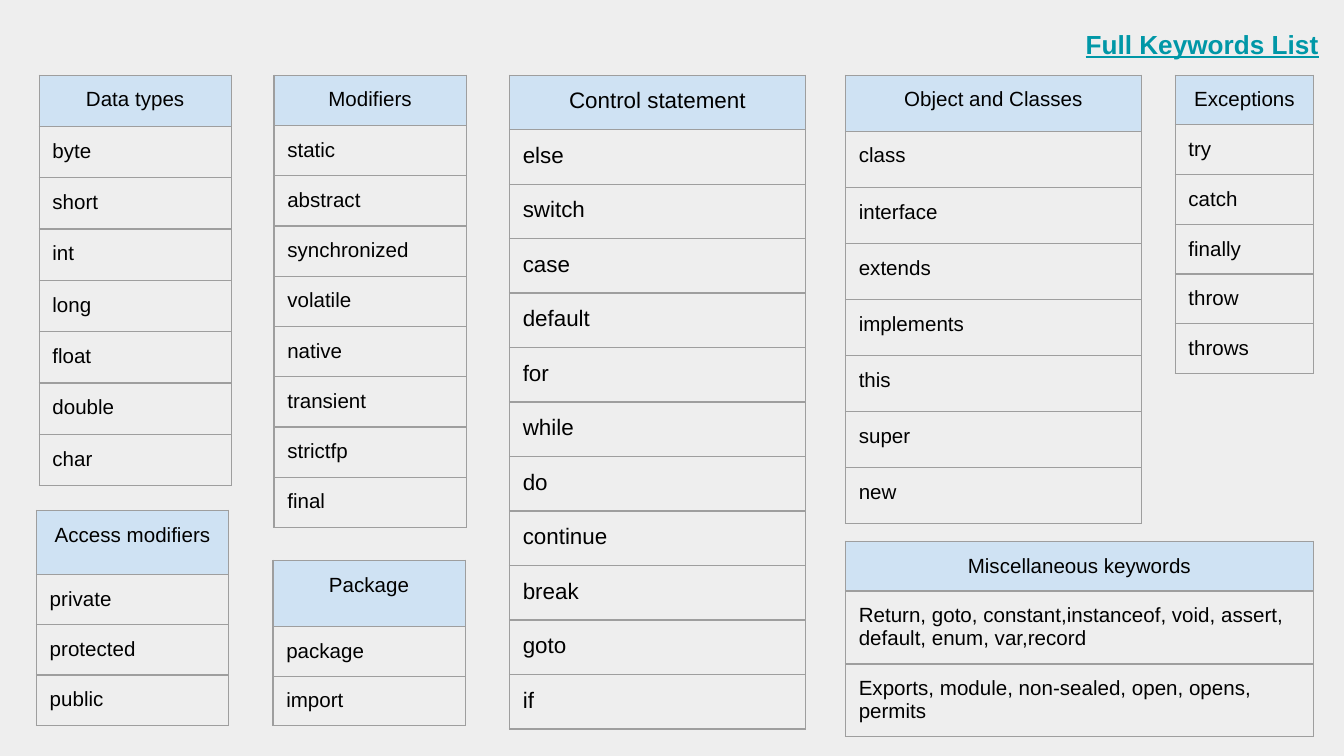
"""Build a slide of keyword tables grouped by purpose."""
from lxml.etree import SubElement
from pptx import Presentation
from pptx.dml.color import RGBColor as Rgb
from pptx.enum.text import MSO_AUTO_SIZE as AutoSize, PP_ALIGN as Align
from pptx.oxml.ns import qn
from pptx.util import Cm, Pt

COLORS = {"background": "EEEEEE", "header": "CFE2F3", "border": "9E9E9E",
          "text": "000000", "title": "0097A7"}
TITLE = "Full Keywords List"
GROUPS = [
    {"header": "Data types", "at": (0.74, 1.42), "width": 3.63, "rows": (0.97, 0.97),
     "keywords": ["byte", "short", "int", "long", "float", "double", "char"]},
    {"header": "Access modifiers", "at": (0.69, 9.65), "width": 3.63, "rows": (1.21, 0.95),
     "keywords": ["private", "protected", "public"]},
    {"header": "Control statement", "at": (9.63, 1.42), "width": 5.59, "rows": (1.03, 1.03),
     "size": 12,
     "keywords": ["else", "switch", "case", "default", "for", "while", "do",
                  "continue", "break", "goto", "if"]},
    {"header": "Object and Classes", "at": (15.98, 1.42), "width": 5.59, "rows": (1.06, 1.06),
     "keywords": ["class", "interface", "extends", "implements", "this", "super", "new"]},
    {"header": "Modifiers", "at": (5.18, 1.42), "width": 3.63, "rows": (0.95, 0.95),
     "keywords": ["static", "abstract", "synchronized", "volatile", "native",
                  "transient", "strictfp", "final"]},
    {"header": "Exceptions", "at": (22.21, 1.42), "width": 2.62, "rows": (0.94, 0.94),
     "keywords": ["try", "catch", "finally", "throw", "throws"]},
    {"header": "Package", "at": (5.16, 10.59), "width": 3.63, "rows": (1.25, 0.94),
     "keywords": ["package", "import"]},
    {"header": "Miscellaneous keywords", "at": (15.98, 10.23), "width": 8.84,
     "rows": (0.94, 1.38),
     "keywords": ["Return, goto, constant,instanceof, void, assert, default, enum, var,record",
                  "Exports, module, non-sealed, open, opens, permits"]},
]
INSET = Cm(0.25)
CELL_FORMAT = {f"margin_{side}": INSET for side in ("left", "right", "top", "bottom")}
TITLE_FORMAT = {**CELL_FORMAT, "word_wrap": True, "auto_size": AutoSize.SHAPE_TO_FIT_TEXT}
TABLE_FORMAT = {"first_row": False, "horz_banding": False}


def apply_format(target, values):
    for name, value in values.items():
        setattr(target, name, value)


def write(frame, words, size, align, color="text", **emphasis):
    paragraph = frame.paragraphs[0]
    paragraph.alignment = align
    run = paragraph.add_run()
    run.text = words
    apply_format(run.font, {"name": "Arial", "size": Pt(size), **emphasis})
    run.font.color.rgb = Rgb.from_string(COLORS[color])


def add_borders(cell):
    properties = cell._tc.get_or_add_tcPr()
    for edge in ("lnL", "lnR", "lnT", "lnB"):
        line = SubElement(properties, qn(f"a:{edge}"), w=str(Pt(0.75)))
        fill = SubElement(line, qn("a:solidFill"))
        SubElement(fill, qn("a:srgbClr"), val=COLORS["border"])


def add_group(slide, group):
    entries = [group["header"], *group["keywords"]]
    header_height, row_height = group["rows"]
    heights = [header_height] + [row_height] * len(group["keywords"])
    left, top = group["at"]
    table = slide.shapes.add_table(len(entries), 1, Cm(left), Cm(top),
                                   Cm(group["width"]), Cm(sum(heights))).table
    apply_format(table, TABLE_FORMAT)
    for index, (entry, height) in enumerate(zip(entries, heights)):
        table.rows[index].height = Cm(height)
        cell = table.cell(index, 0)
        apply_format(cell, CELL_FORMAT)
        add_borders(cell)
        if index == 0:
            cell.fill.solid()
            cell.fill.fore_color.rgb = Rgb.from_string(COLORS["header"])
        else:
            cell.fill.background()
        write(cell.text_frame, entry, group.get("size", 11),
              Align.LEFT if index else Align.CENTER)


def main():
    deck = Presentation()
    apply_format(deck, {"slide_width": Cm(25.4), "slide_height": Cm(14.29)})
    slide = deck.slides.add_slide(deck.slide_layouts[6])
    slide.background.fill.solid()
    slide.background.fill.fore_color.rgb = Rgb.from_string(COLORS["background"])
    for group in GROUPS:
        add_group(slide, group)
    title = slide.shapes.add_textbox(Cm(16.89), Cm(0.28), Cm(8.28), Cm(1.12)).text_frame
    apply_format(title, TITLE_FORMAT)
    write(title, TITLE, 14, Align.RIGHT, "title", bold=True, underline=True)
    deck.save("out.pptx")


if __name__ == "__main__":
    main()
